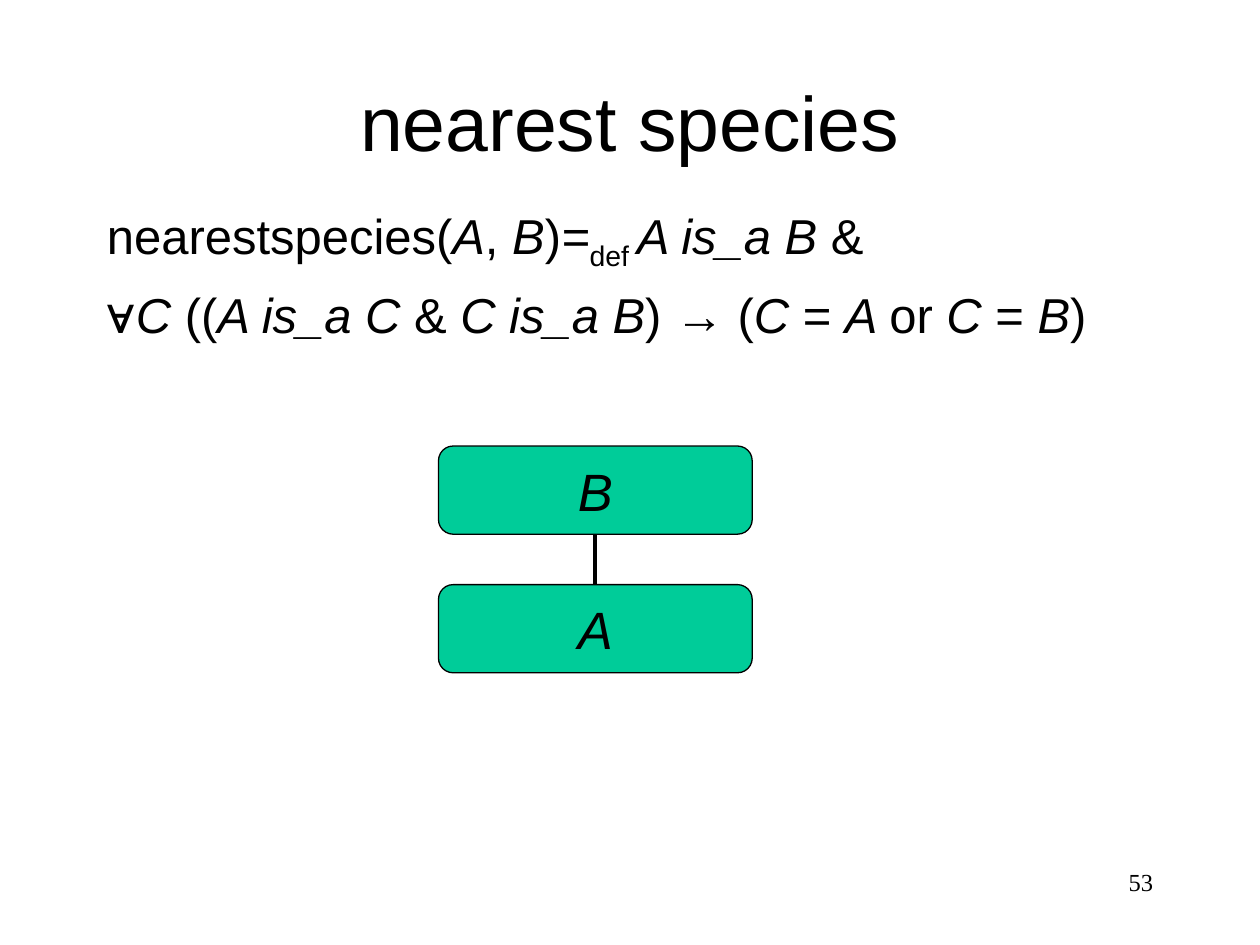
from dataclasses import dataclass

from lxml.etree import SubElement
from pptx import Presentation
from pptx.dml.color import RGBColor
from pptx.enum.shapes import MSO_CONNECTOR, MSO_SHAPE
from pptx.enum.text import MSO_ANCHOR, PP_ALIGN
from pptx.oxml.ns import qn
from pptx.util import Inches, Pt


@dataclass(frozen=True)
class Theme:
    ink: RGBColor = RGBColor(0, 0, 0)
    box_fill: RGBColor = RGBColor(0x00, 0xCC, 0x99)
    font: str = "Arial"
    number_font: str = "Times New Roman"
    title_size: int = 44
    body_size: int = 28
    box_size: int = 30
    number_size: int = 14


def write_text(frame, text, *, size, font, color, align=PP_ALIGN.LEFT,
               anchor=MSO_ANCHOR.TOP, space_before=0, wrap=True):
    """Write lines in which * toggles italics and a leading ~ marks a subscript."""
    frame.word_wrap = wrap
    frame.vertical_anchor = anchor
    for index, line in enumerate(text.split("\n")):
        paragraph = frame.add_paragraph() if index else frame.paragraphs[0]
        paragraph.alignment = align
        paragraph.space_before = Pt(space_before)
        for position, piece in enumerate(line.split("*")):
            if not piece:
                continue
            run = paragraph.add_run()
            run.text = piece.removeprefix("~")
            run.font.name = font
            run.font.size = Pt(size)
            run.font.color.rgb = color
            run.font.italic = position % 2 == 1
            if piece.startswith("~"):
                run._r.get_or_add_rPr().set("baseline", "-25000")


class SlideBuilder:
    def __init__(self, slide, theme):
        self.slide = slide
        self.theme = theme

    def text(self, text, left, top, width, height, *, size, font=None, **text_format):
        shape = self.slide.shapes.add_textbox(
            Inches(left), Inches(top), Inches(width), Inches(height))
        write_text(shape.text_frame, text, size=size, font=font or self.theme.font,
                   color=self.theme.ink, **text_format)

    def box(self, text, left, top, width, height):
        shape = self.slide.shapes.add_shape(
            MSO_SHAPE.ROUNDED_RECTANGLE,
            Inches(left), Inches(top), Inches(width), Inches(height))
        shape.shadow.inherit = False
        shape.fill.solid()
        shape.fill.fore_color.rgb = self.theme.box_fill
        shape.line.color.rgb = self.theme.ink
        shape.line.width = Pt(0.75)
        write_text(shape.text_frame, text, size=self.theme.box_size,
                   font=self.theme.font, color=self.theme.ink,
                   align=PP_ALIGN.CENTER, anchor=MSO_ANCHOR.MIDDLE, wrap=False)
        return shape

    def link(self, upper, lower):
        connector = self.slide.shapes.add_connector(MSO_CONNECTOR.STRAIGHT, 0, 0, 0, 0)
        connector.begin_connect(upper, 2)
        connector.end_connect(lower, 0)
        connector.line.color.rgb = self.theme.ink
        connector.line.width = Pt(2.25)
        SubElement(connector._element.spPr, qn("a:effectLst"))


def main():
    presentation = Presentation()
    presentation.slide_width = Inches(10)
    presentation.slide_height = Inches(7.5)
    slide = presentation.slides.add_slide(presentation.slide_layouts[6])
    theme = Theme()
    builder = SlideBuilder(slide, theme)

    builder.text("nearest species", 0.75, 0.33, 8.5, 1.25, size=theme.title_size,
                 align=PP_ALIGN.CENTER, anchor=MSO_ANCHOR.MIDDLE)
    definition = (
        "nearestspecies(*A*, *B*)*=*~def *A is_a B *&\n"
        "∀*C* ((*A is_a C *& *C is_a B*) → (*C *= *A *or *C *= *B*)"
    )
    builder.text(definition, 0.75, 1.58, 8.49, 4.5, size=theme.body_size, space_before=7)

    parent, child = [builder.box(f"*{name}*", 3.48, top, 2.49, 0.7)
                     for name, top in (("B", 3.54), ("A", 4.64))]
    builder.link(parent, child)

    builder.text("53", 7.17, 6.83, 2.08, 0.5, size=theme.number_size,
                 font=theme.number_font, align=PP_ALIGN.RIGHT)
    presentation.save("out.pptx")


if __name__ == "__main__":
    main()
